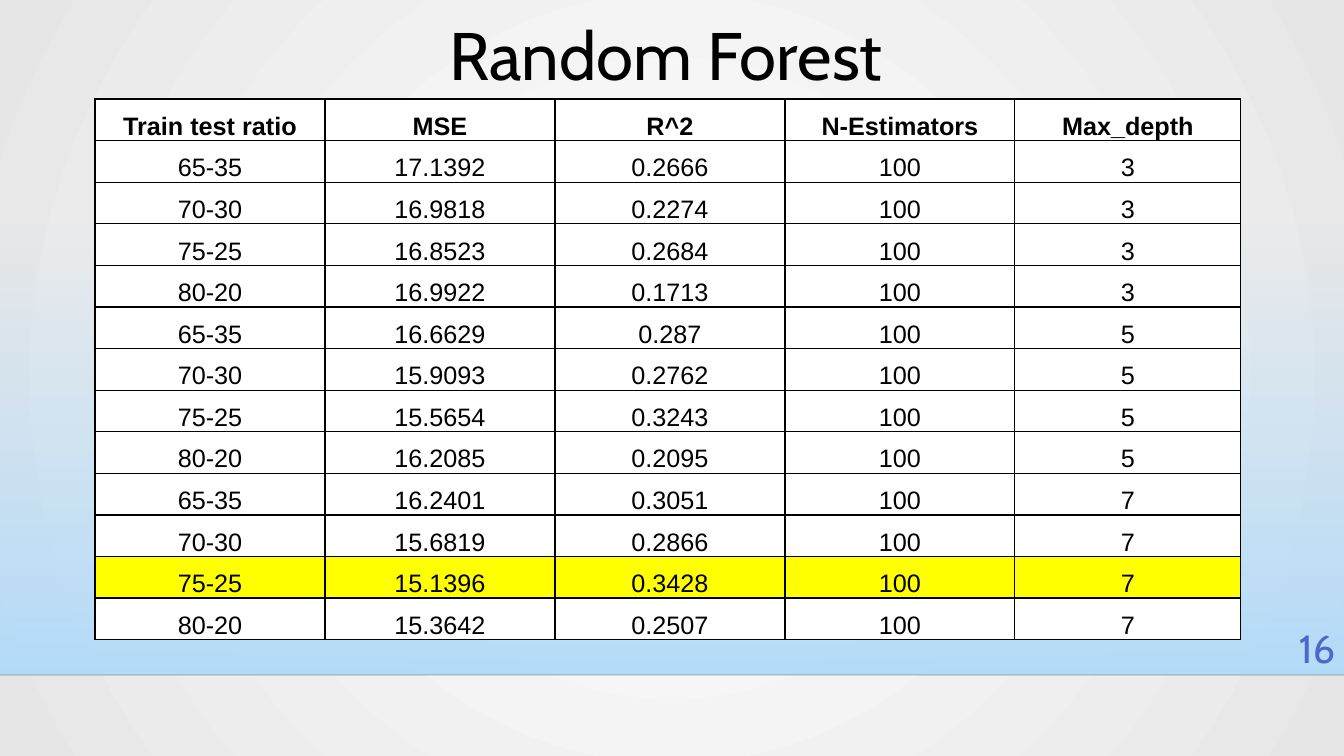
from lxml import etree
from pptx import Presentation
from pptx.dml.color import RGBColor
from pptx.enum.shapes import MSO_CONNECTOR, MSO_SHAPE
from pptx.enum.text import MSO_ANCHOR, PP_ALIGN
from pptx.oxml.ns import qn
from pptx.util import Pt

RECT = MSO_SHAPE.RECTANGLE
LINE = MSO_CONNECTOR.STRAIGHT
CENTER, RIGHT = PP_ALIGN.CENTER, PP_ALIGN.RIGHT
BOTTOM = MSO_ANCHOR.BOTTOM

# Content
TITLE = "Random Forest"
NUMBER = "16"
HEAD = ("Train test ratio", "MSE", "R^2", "N-Estimators", "Max_depth")
ROWS = [
    ("65-35", "17.1392", "0.2666", "100", "3"),
    ("70-30", "16.9818", "0.2274", "100", "3"),
    ("75-25", "16.8523", "0.2684", "100", "3"),
    ("80-20", "16.9922", "0.1713", "100", "3"),
    ("65-35", "16.6629", "0.287", "100", "5"),
    ("70-30", "15.9093", "0.2762", "100", "5"),
    ("75-25", "15.5654", "0.3243", "100", "5"),
    ("80-20", "16.2085", "0.2095", "100", "5"),
    ("65-35", "16.2401", "0.3051", "100", "7"),
    ("70-30", "15.6819", "0.2866", "100", "7"),
    ("75-25", "15.1396", "0.3428", "100", "7"),
    ("80-20", "15.3642", "0.2507", "100", "7"),
]
BEST = min(ROWS, key=lambda row: float(row[1]))


class Theme:
    ink, paper, mark = "000000", "FFFFFF", "FFFF00"
    edge, sky, rule, page = "E6E6E6", "B4DCFA", "000001", "4E67C8"
    display, body = "Cabin", "Arial"
    title, number, cell = 48, 28, 18


# Lengths in px
WIDE, HIGH = 1344, 756
SKY_TOP, SKY_END = 223, 675
LEFT, TOP, TALL = 95, 99, 541
COLS = (230, 230, 230, 230, 226)


def px(n):
    return round(n * 914400 / 100.8)


def rgb(code):
    return RGBColor.from_string(code)


def blend(fill, first, last):
    fill.gradient()
    for stop, code, pos in zip(fill.gradient_stops, (first, last), (0, 1)):
        stop.color.rgb = rgb(code)
        stop.position = pos


def fade(root, percent):
    color = next(root.iter(qn("a:srgbClr")))
    etree.SubElement(color, qn("a:alpha"), val=str(percent * 1000))


def style(par, text, font, size, color, align, bold=False):
    par.text = text
    par.alignment = align
    par.font.name = font
    par.font.size = Pt(size)
    par.font.color.rgb = rgb(color)
    par.font.bold = bold


def label(slide, box, *look):
    frame = slide.shapes.add_textbox(*map(px, box)).text_frame
    frame.word_wrap = True
    style(frame.paragraphs[0], *look)


def border(cell):
    props = cell._tc.get_or_add_tcPr()
    for i, side in enumerate(("lnL", "lnR", "lnT", "lnB")):
        line = etree.Element(qn("a:" + side), w=str(Pt(1)))
        solid = etree.SubElement(line, qn("a:solidFill"))
        etree.SubElement(solid, qn("a:srgbClr"), val=Theme.ink)
        props.insert(i, line)


def backdrop(slide):
    # Radial page background
    blend(slide.background.fill, Theme.paper, Theme.edge)
    grad = next(slide.element.iter(qn("a:gradFill")))
    grad.remove(grad.find(qn("a:lin")))
    ring = etree.SubElement(grad, qn("a:path"), path="circle")
    etree.SubElement(ring, qn("a:fillToRect"),
                     {side: "50000" for side in "ltrb"})

    # Blue band that fades in downwards
    band = slide.shapes.add_shape(
        RECT, 0, px(SKY_TOP), px(WIDE), px(SKY_END - SKY_TOP))
    band.shadow.inherit = False
    band.line.fill.background()
    blend(band.fill, Theme.sky, Theme.sky)
    band.fill.gradient_angle = 270
    fade(band.element.spPr, 0)

    # Rule under the band
    rule = slide.shapes.add_connector(
        LINE, 0, px(SKY_END), px(WIDE), px(SKY_END))
    rule.line.width = Pt(1)
    rule.line.color.rgb = rgb(Theme.rule)
    props = rule.element.spPr
    fade(props, 20)
    etree.SubElement(props, qn("a:effectLst"))


def results(slide):
    data = [HEAD] + ROWS
    table = slide.shapes.add_table(
        len(data), len(HEAD),
        px(LEFT), px(TOP), px(sum(COLS)), px(TALL)).table
    table.horz_banding = False
    for col, width in zip(table.columns, COLS):
        col.width = px(width)
    for row, texts in zip(table.rows, data):
        row.height = px(TALL / len(data))
        for cell, text in zip(row.cells, texts):
            cell.margin_left = cell.margin_right = cell.margin_top = px(1)
            cell.margin_bottom = 0
            cell.vertical_anchor = BOTTOM
            cell.fill.solid()
            cell.fill.fore_color.rgb = rgb(
                Theme.mark if texts is BEST else Theme.paper)
            border(cell)
            style(cell.text_frame.paragraphs[0], text, Theme.body,
                  Theme.cell, Theme.ink, CENTER, texts is HEAD)


def main():
    deck = Presentation()
    deck.slide_width, deck.slide_height = px(WIDE), px(HIGH)
    slide = deck.slides.add_slide(deck.slide_layouts[6])
    backdrop(slide)
    label(slide, (-6, 8, WIDE, 92), TITLE, Theme.display, Theme.title,
          Theme.ink, CENTER)
    results(slide)
    label(slide, (1255, 619, 90, 55), NUMBER, Theme.display, Theme.number,
          Theme.page, RIGHT)
    deck.save("out.pptx")


if __name__ == "__main__":
    main()
